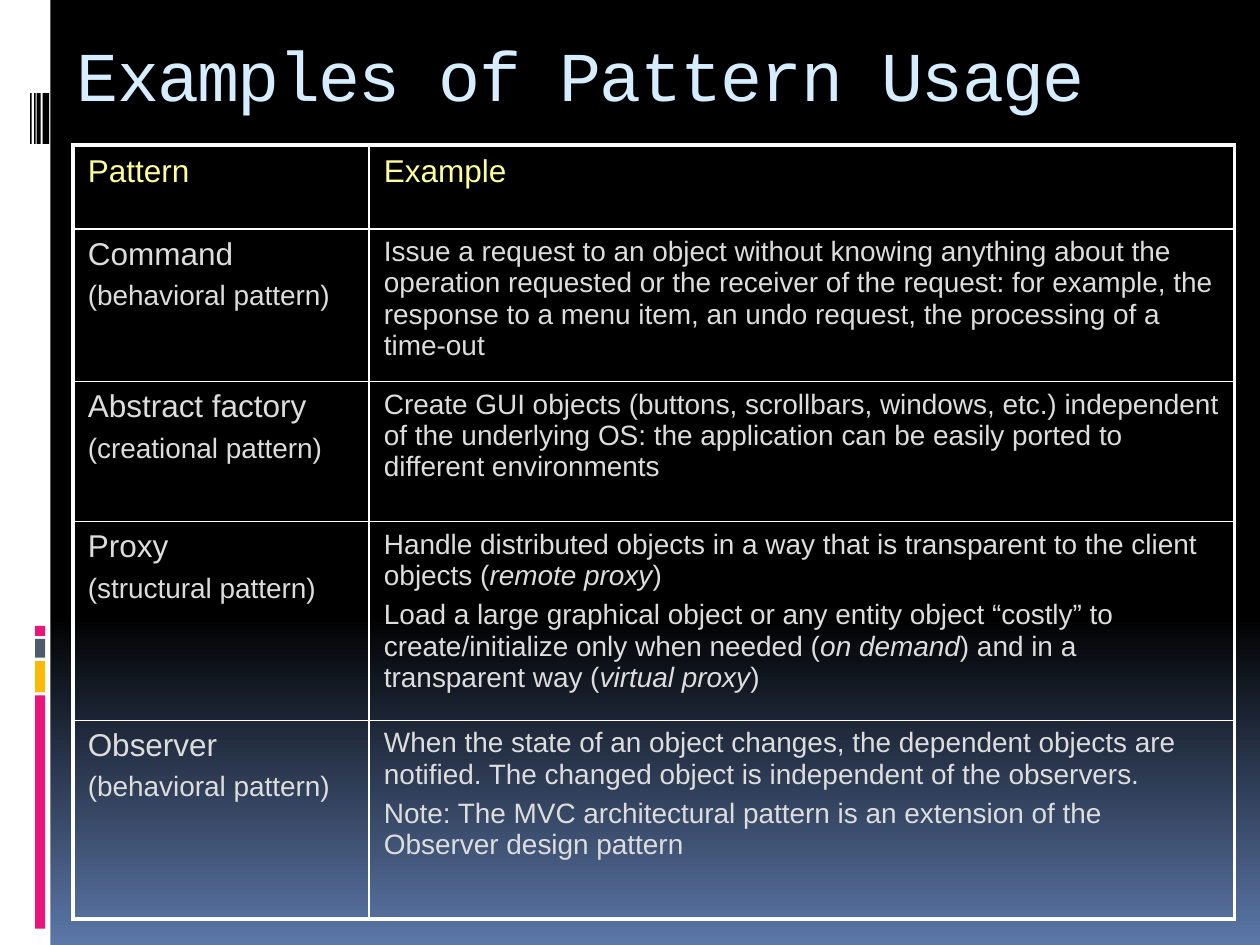
import pptx
import pptx.dml.color
import pptx.enum.shapes
import pptx.oxml.ns
import pptx.util
from lxml import etree
from pptx.util import Cm, Pt

WHITE, BLACK, PINK = "FFFFFF", "000000", "EA157A"
HEADING, BODY = "FFFF99", "DDDDDD"
THICK, THIN = 2.25, 1

STRIPES = [
    (0, 0, 1.02, 19.05, WHITE),
    (0.71, 14.02, 0.2, 4.7, PINK),
    (0.71, 13.33, 0.2, 0.63, "FEB80A"),
    (0.71, 12.88, 0.2, 0.38, "4E5B6F"),
    (0.71, 12.62, 0.2, 0.2, PINK),
    (0.86, 1.88, 0.13, 1.02, BLACK),
    (0.74, 1.88, 0.08, 1.02, BLACK),
    (0.69, 1.88, 0.03, 1.02, BLACK),
    (0.61, 1.88, 0.03, 1.02, BLACK),
]

COLUMN_WIDTHS = [5.97, 17.45]
ROW_HEIGHTS = [1.7, 3.07, 2.82, 4.01, 4.01]
PATTERNS = [
    ("Command", "(behavioral pattern)", [
        ["Issue a request to an object without knowing anything about the "
         "operation requested or the receiver of the request: for example, the "
         "response to a menu item, an undo request, the processing of a time-out"],
    ]),
    ("Abstract factory", "(creational pattern)", [
        ["Create GUI objects (buttons, scrollbars, windows, etc.) independent "
         "of the underlying OS: the application can be easily ported to "
         "different environments"],
    ]),
    ("Proxy", "(structural pattern)", [
        ["Handle distributed objects in a way that is transparent to the client "
         "objects (", "remote proxy", ")"],
        ["Load a large graphical object or any entity object “costly” to "
         "create/initialize only when needed (", "on demand",
         ") and in a transparent way (", "virtual proxy", ")"],
    ]),
    ("Observer", "(behavioral pattern)", [
        ["When the state of an object changes, the dependent objects are "
         "notified. The changed object is independent of the observers."],
        ["Note: The MVC architectural pattern is an extension of the "
         "Observer design pattern"],
    ]),
]


def rgb(value):
    return pptx.dml.color.RGBColor.from_string(value)


def paint_background(slide):
    fill = slide.background.fill
    fill.gradient()
    fill.gradient_angle = 270
    for stop, (position, color) in zip(fill.gradient_stops, [(0.65, BLACK), (1, "5B77A8")]):
        stop.position = position
        stop.color.rgb = rgb(color)


def add_stripe(slide, left, top, width, height, color):
    stripe = slide.shapes.add_shape(
        pptx.enum.shapes.MSO_SHAPE.RECTANGLE, Cm(left), Cm(top), Cm(width), Cm(height))
    stripe.shadow.inherit = False
    stripe.fill.solid()
    stripe.fill.fore_color.rgb = rgb(color)
    stripe.line.fill.background()


def add_run(paragraph, text, size, color, font="Arial", italic=False):
    run = paragraph.add_run()
    run.text = text
    run.font.size = Pt(size)
    run.font.name = font
    run.font.italic = italic
    run.font.color.rgb = rgb(color)
    return run


def add_title(slide, text):
    title = slide.shapes.add_textbox(Cm(1.3), Cm(0.2), Cm(24.99), Cm(1.47)).text_frame
    title.word_wrap = True
    title.margin_top = Cm(0.43)
    run = add_run(title.paragraphs[0], text, 40, "D6ECFF", "Courier New")
    run.font._element.set("spc", "-100")


def set_borders(cell, widths):
    properties = cell._tc.get_or_add_tcPr()
    for side, width in zip("LRTB", widths):
        line = etree.SubElement(properties, pptx.oxml.ns.qn(f"a:ln{side}"), w=str(Pt(width)))
        solid = etree.SubElement(line, pptx.oxml.ns.qn("a:solidFill"))
        etree.SubElement(solid, pptx.oxml.ns.qn("a:srgbClr"), val=WHITE)


def fill_cell(cell, paragraphs, line_spacing=None):
    for index, runs in enumerate(paragraphs):
        frame = cell.text_frame
        paragraph = frame.add_paragraph() if index else frame.paragraphs[0]
        if index:
            paragraph.space_before = Pt(5)
        if line_spacing:
            paragraph.line_spacing = line_spacing
        for text, size, color, italic in runs:
            add_run(paragraph, text, size, color, italic=italic)


def heading(text):
    return [[(text, 18, HEADING, False), (" ", 24, HEADING, False)]]


def pattern_name(name, category):
    return [[(name, 18, BODY, False)], [(category, 16, BODY, False)]]


def example(paragraphs):
    return [[(text, 16, BODY, index % 2 == 1) for index, text in enumerate(parts)]
            for parts in paragraphs]


def add_pattern_table(slide):
    row_count, column_count = len(ROW_HEIGHTS), len(COLUMN_WIDTHS)
    table = slide.shapes.add_table(
        row_count, column_count, Cm(1.47), Cm(2.92),
        Cm(sum(COLUMN_WIDTHS)), Cm(sum(ROW_HEIGHTS))).table
    table.first_row = table.horz_banding = False
    for column, width in zip(table.columns, COLUMN_WIDTHS):
        column.width = Cm(width)
    for row, height in zip(table.rows, ROW_HEIGHTS):
        row.height = Cm(height)

    contents = [[heading("Pattern"), heading("Example")]]
    contents += [[pattern_name(name, category), example(uses)]
                 for name, category, uses in PATTERNS]
    for r, row_contents in enumerate(contents):
        for c, paragraphs in enumerate(row_contents):
            cell = table.cell(r, c)
            cell.margin_left = cell.margin_right = Cm(0.3)
            cell.margin_top = cell.margin_bottom = Cm(0.15)
            on_edge = (c == 0, c == column_count - 1, r == 0, r == row_count - 1)
            set_borders(cell, [THICK if edge else THIN for edge in on_edge])
            cell.fill.background()
            fill_cell(cell, paragraphs, 0.8 if r == 0 else None)


def main():
    deck = pptx.Presentation()
    deck.slide_width, deck.slide_height = Cm(25.4), Cm(19.05)
    slide = deck.slides.add_slide(deck.slide_layouts[6])
    paint_background(slide)
    for stripe in STRIPES:
        add_stripe(slide, *stripe)
    add_title(slide, "Examples of Pattern Usage")
    add_pattern_table(slide)
    deck.save("out.pptx")


if __name__ == "__main__":
    main()
